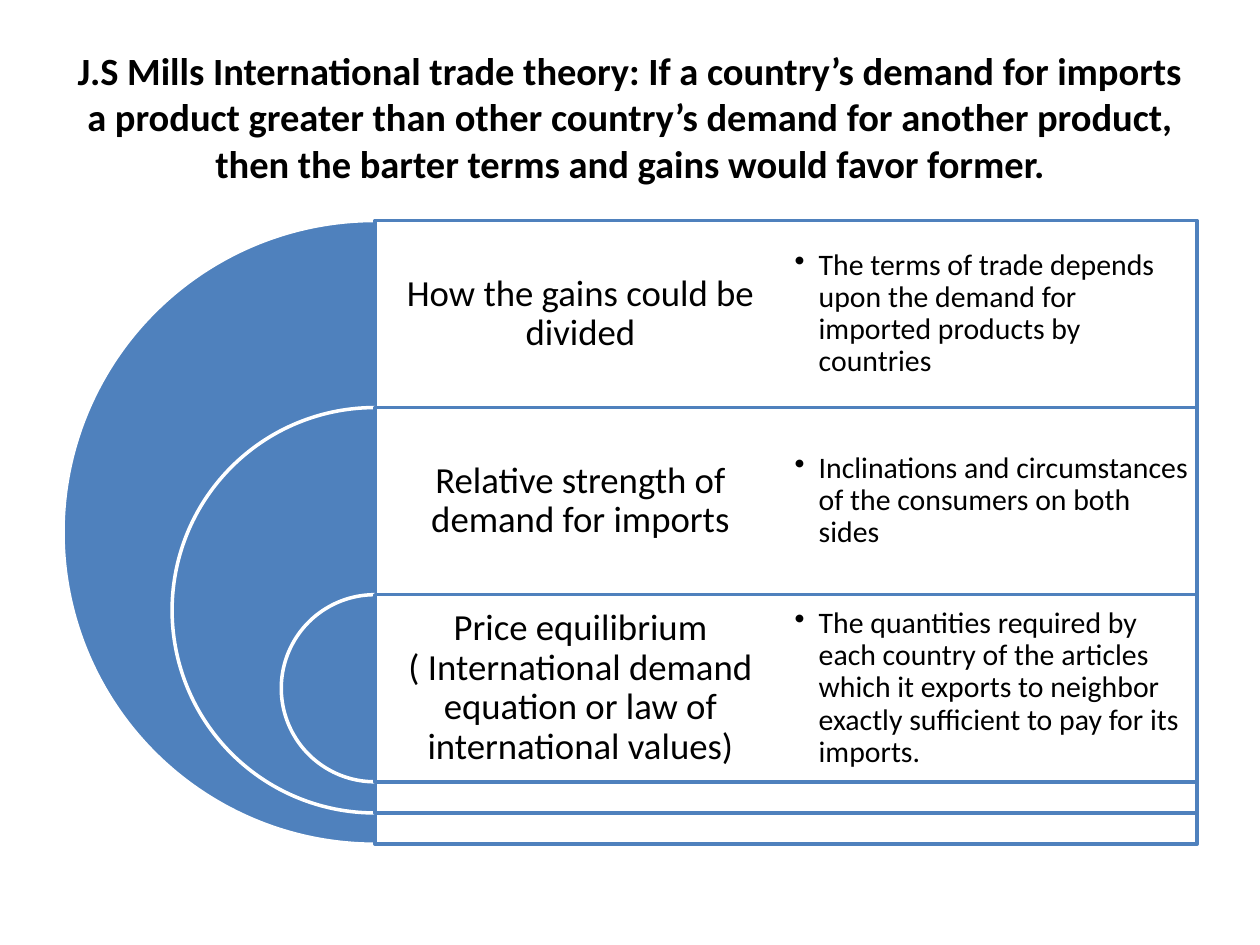
from lxml import etree
from pptx import Presentation
from pptx.dml.color import RGBColor
from pptx.enum.shapes import MSO_SHAPE
from pptx.enum.text import MSO_ANCHOR, PP_ALIGN
from pptx.oxml.ns import qn
from pptx.util import Inches, Pt

PIE, RECT = MSO_SHAPE.PIE, MSO_SHAPE.RECTANGLE
CENTER, LEFT = PP_ALIGN.CENTER, PP_ALIGN.LEFT
MIDDLE = MSO_ANCHOR.MIDDLE

FONT = "Calibri"
BLUE, WHITE, BLACK = "4F81BD", "FFFFFF", "000000"
SLIDE_W, SLIDE_H = 10, 7.5
MARGIN, TOP = 0.05 * SLIDE_W, 1.75
DIAMETER = 0.66 * SLIDE_H
ROW_H = 0.3 * DIAMETER
SHRINK = 0.35 * DIAMETER
AXIS_X = MARGIN + DIAMETER / 2
PANEL_W = SLIDE_W - MARGIN - AXIS_X
COL_W = PANEL_W / 2

TITLE = (
    "J.S Mills International trade theory: If a country’s demand for imports "
    "a product greater than other country’s demand for another product, "
    "then the barter terms and gains would favor former."
)
ROWS = [
    ("How the gains could be divided",
     "The terms of trade depends upon the demand for imported products by countries"),
    ("Relative strength of demand for imports",
     "Inclinations and circumstances of the consumers on both sides"),
    ("Price equilibrium ( International demand equation or law of international values)",
     "The quantities required by each country of the articles which it exports "
     "to neighbor exactly sufficient to pay for its imports."),
]


def rgb(code):
    """Turn a hex string into a colour."""
    return RGBColor.from_string(code)


def add_outlined(s, kind, box, fill, line):
    """Add a filled preset shape with a 2 pt outline."""
    sp = s.shapes.add_shape(kind, *map(Inches, box))
    sp.shadow.inherit = False
    sp.fill.solid()
    sp.fill.fore_color.rgb = rgb(fill)
    sp.line.color.rgb = rgb(line)
    sp.line.width = Pt(2)
    return sp


def add_half_disc(s, top, diameter):
    """Add the left half of a disc centred on the common axis."""
    box = (AXIS_X - diameter / 2, top, diameter, diameter)
    sp = add_outlined(s, PIE, box, BLUE, WHITE)
    sp.adjustments[0], sp.adjustments[1] = 54, 162


def add_panel(s, top, height):
    """Add a slightly transparent white panel to the right of the axis."""
    sp = add_outlined(s, RECT, (AXIS_X, top, PANEL_W, height), WHITE, BLUE)
    color = sp.fill._xPr.find(qn("a:solidFill"))[0]
    etree.SubElement(color, qn("a:alpha"), val="90000")


def add_bullet(p, indent):
    """Give a paragraph a hanging round bullet."""
    pPr = p._p.get_or_add_pPr()
    pPr.set("marL", str(Inches(indent)))
    pPr.set("indent", str(-Inches(indent)))
    etree.SubElement(pPr, qn("a:buChar"), char="•")


def add_text(s, box, text, size, inset, align=CENTER, bold=False):
    """Add a wrapped, vertically centred text box and return its paragraph."""
    tf = s.shapes.add_textbox(*map(Inches, box)).text_frame
    tf.word_wrap = True
    tf.vertical_anchor = MIDDLE
    tf.margin_left = tf.margin_right = Inches(inset[0])
    tf.margin_top = tf.margin_bottom = Inches(inset[1])
    p = tf.paragraphs[0]
    p.alignment = align
    r = p.add_run()
    r.text = text
    r.font.name, r.font.size, r.font.bold = FONT, Pt(size), bold
    r.font.color.rgb = rgb(BLACK)
    return p


def add_heading(s, top, text):
    """Add a centred heading in the first panel column."""
    p = add_text(s, (AXIS_X, top, COL_W, ROW_H), text, 21, (0.09, 0.09))
    p.line_spacing, p.space_after = 0.9, Pt(7.35)


def add_detail(s, top, text):
    """Add a bulleted explanation in the second panel column."""
    box = (AXIS_X + COL_W, top, COL_W, ROW_H)
    p = add_text(s, box, text, 17, (0.07, 0.07), LEFT)
    p.level = 1
    p.line_spacing, p.space_after = 0.9, Pt(2.55)
    add_bullet(p, 0.19)


def main():
    """Build the slide and save it."""
    prs = Presentation()
    prs.slide_width, prs.slide_height = Inches(SLIDE_W), Inches(SLIDE_H)
    s = prs.slides.add_slide(prs.slide_layouts[6])
    title_box = (MARGIN, 0.04 * SLIDE_H, SLIDE_W - 2 * MARGIN, 1.25)
    add_text(s, title_box, TITLE, 22, (0.1, 0.05), bold=True)
    for i, (heading, detail) in enumerate(ROWS):
        top, diameter = TOP + i * ROW_H, DIAMETER - i * SHRINK
        add_half_disc(s, top, diameter)
        add_panel(s, top, diameter)
        add_heading(s, top, heading)
        add_detail(s, top, detail)
    prs.save("out.pptx")


if __name__ == "__main__":
    main()
